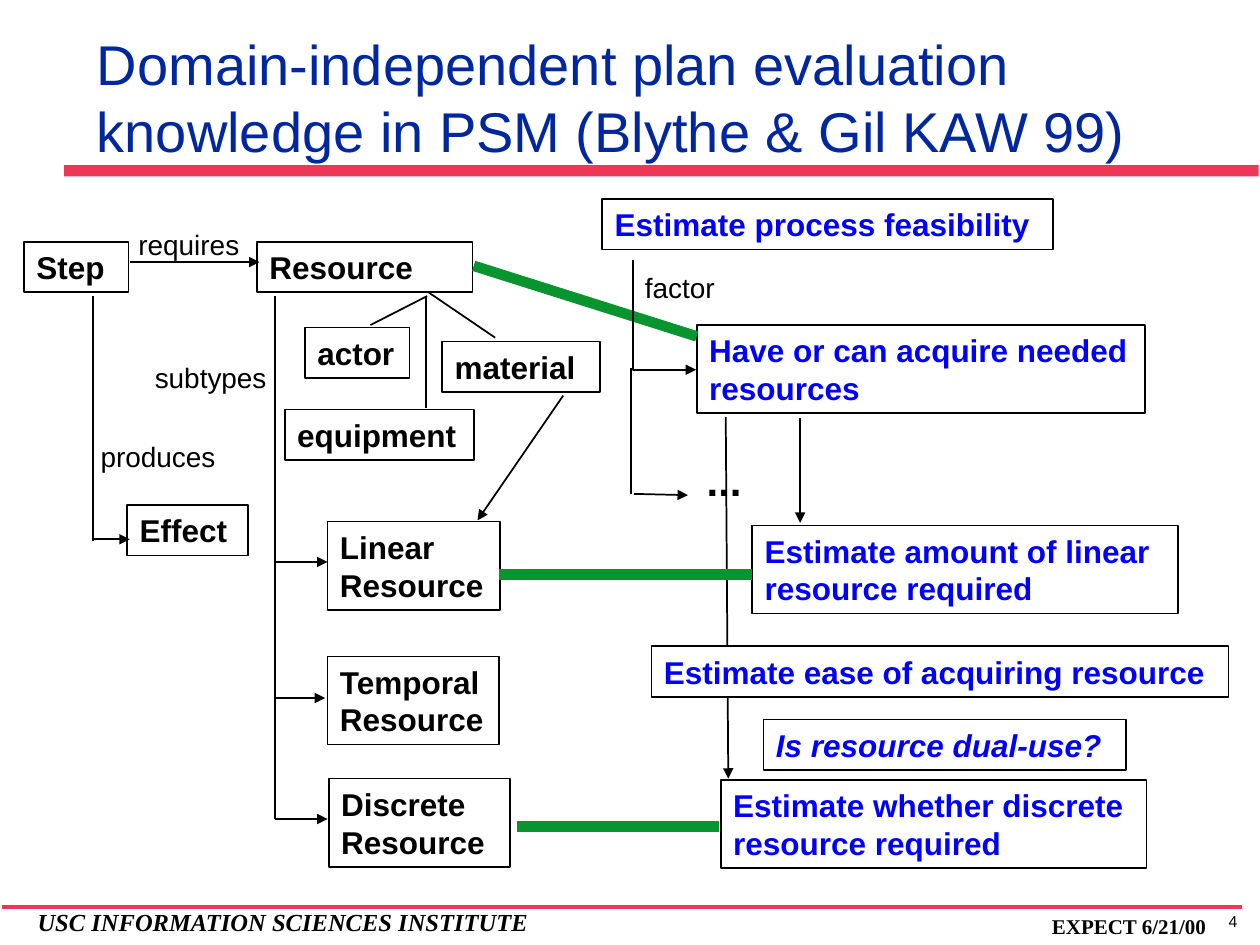
"""Build the slide on domain-independent plan evaluation knowledge."""
from dataclasses import dataclass

from lxml.etree import SubElement
from pptx import Presentation
from pptx.dml.color import RGBColor as RGB
from pptx.enum.shapes import MSO_CONNECTOR as LINK, MSO_SHAPE as SHAPE
from pptx.enum.text import MSO_ANCHOR as ANCHOR, PP_ALIGN as ALIGN
from pptx.oxml.ns import qn
from pptx.util import Pt

PX = 9144


@dataclass(frozen=True)
class Theme:
    black: RGB = RGB(0x00, 0x00, 0x00)
    white: RGB = RGB(0xFF, 0xFF, 0xFF)
    red: RGB = RGB(0xEE, 0x37, 0x57)
    green: RGB = RGB(0x08, 0x94, 0x2F)
    navy: RGB = RGB(0x00, 0x27, 0x9F)
    blue: RGB = RGB(0x00, 0x00, 0xFF)
    sans: str = "Arial"
    serif: str = "Times New Roman"
    title: int = 32
    dots: int = 24
    node: int = 18
    label: int = 16
    institute: int = 14
    date: int = 12
    number: int = 9


theme = Theme()
deck = Presentation()
deck.slide_width, deck.slide_height = 1000 * PX, 750 * PX
slide = deck.slides.add_slide(deck.slide_layouts[6])
shapes = slide.shapes


def write(holder, text, size, color=theme.black, wrap=True, anchor=ANCHOR.TOP,
          align=ALIGN.LEFT, name=theme.sans, bold=False, italic=False):
    frame = holder.text_frame
    frame_format = {
        "word_wrap": wrap, "vertical_anchor": anchor,
        "margin_left": 10 * PX, "margin_right": 10 * PX,
        "margin_top": 5 * PX, "margin_bottom": 5 * PX,
    }
    for key, value in frame_format.items():
        setattr(frame, key, value)
    paragraph = frame.paragraphs[0]
    paragraph.alignment = align
    run = paragraph.add_run()
    run.text = text
    font_format = {"name": name, "size": Pt(size), "bold": bold, "italic": italic}
    for key, value in font_format.items():
        setattr(run.font, key, value)
    run.font.color.rgb = color


def connect(x1, y1, x2, y2, arrow=False, color=theme.black, width=1, kind=LINK.STRAIGHT):
    link = shapes.add_connector(kind, x1 * PX, y1 * PX, x2 * PX, y2 * PX)
    link.line.color.rgb = color
    link.line.width = Pt(width)
    if arrow:
        SubElement(link.line._get_or_add_ln(), qn("a:tailEnd"), type="triangle")
    SubElement(link._element.spPr, qn("a:effectLst"))
    return link


title_rule = shapes.add_shape(SHAPE.RECTANGLE, 51 * PX, 131 * PX, 948 * PX, 9 * PX)
title_rule.shadow.inherit = False
title_rule.fill.solid()
title_rule.fill.fore_color.rgb = theme.red
title_rule.line.fill.background()
connect(986, 720, 2, 720, color=theme.red, width=2)

ease_trunk = (576, 331, 578, 618)
connect(*ease_trunk, arrow=True)

ONE_LINE, TWO_LINES = 40, 70
concepts = [
    ("Step", 19, 192, 83, ONE_LINE),
    ("Resource", 204, 192, 171, ONE_LINE),
    ("equipment", 226, 325, 150, ONE_LINE),
    ("material", 351, 271, 125, ONE_LINE),
    ("actor", 242, 260, 83, ONE_LINE),
    ("Effect", 101, 401, 96, ONE_LINE),
    ("Linear Resource", 260, 414, 137, TWO_LINES),
    ("Temporal Resource", 260, 521, 136, TWO_LINES),
    ("Discrete Resource", 261, 618, 144, TWO_LINES),
]
goals = [
    ("Estimate process feasibility", 478, 158, 358, ONE_LINE),
    ("Have or can acquire needed resources", 553, 258, 356, TWO_LINES),
    ("Estimate amount of linear resource required", 597, 417, 338, TWO_LINES),
    ("Estimate whether discrete resource required", 572, 619, 338, TWO_LINES),
    ("Estimate ease of acquiring resource", 517, 513, 458, ONE_LINE),
    ("Is resource dual-use?", 606, 571, 288, ONE_LINE),
]
for color, nodes in ((theme.black, concepts), (theme.blue, goals)):
    for text, left, top, width, height in nodes:
        node = shapes.add_shape(SHAPE.RECTANGLE, left * PX, top * PX, width * PX, height * PX)
        node.shadow.inherit = False
        if "ease" in text:
            node.fill.solid()
            node.fill.fore_color.rgb = theme.white
        else:
            node.fill.background()
        node.line.color.rgb = theme.black
        node.line.width = Pt(1)
        write(node, text, theme.node, color, bold=True, italic="dual-use" in text)

for match in [(553, 267, 376, 211), (597, 456, 396, 456), (571, 656, 410, 656)]:
    connect(*match, color=theme.green, width=6)

for branch in [
    (339, 235, 294, 258), (338, 235, 338, 324), (340, 232, 393, 268),
    (501, 292, 501, 392), (74, 235, 74, 429), (218, 235, 218, 650),
]:
    connect(*branch)

for relation in [
    (103, 208, 206, 208), (503, 392, 546, 393), (635, 332, 635, 415),
    (74, 428, 103, 428), (218, 446, 260, 446), (218, 554, 258, 554),
    (218, 650, 260, 650), (447, 314, 379, 413),
]:
    connect(*relation, arrow=True)

factor_link = connect(571, 225, 484, 275, arrow=True, kind=LINK.ELBOW)
factor_geometry = factor_link._element.spPr
factor_geometry.find(qn("a:xfrm")).set("rot", str(270 * 60000))
factor_geometry.find(qn("a:prstGeom")).set("prst", "bentConnector2")

label = {"size": theme.label, "wrap": False}
footer = {"name": theme.serif, "bold": True}
captions = [
    ("Domain-independent plan evaluation knowledge in PSM (Blythe & Gil KAW 99)",
     67, 9, 848, 126, {"size": theme.title, "color": theme.navy, "anchor": ANCHOR.BOTTOM}),
    ("requires", 100, 176, 105, 37, label),
    ("factor", 502, 210, 82, 37, label),
    ("subtypes", 113, 281, 115, 37, label),
    ("produces", 70, 344, 117, 37, label),
    ("...", 551, 356, 52, 50, {"size": theme.dots, "wrap": False, "bold": True}),
    ("USC INFORMATION SCIENCES INSTITUTE", 20, 715, 436, 33,
     {"size": theme.institute, "italic": True, **footer}),
    ("EXPECT 6/21/00", 825, 720, 158, 30, {"size": theme.date, **footer}),
    ("4", 940, 719, 77, 25, {"size": theme.number, "wrap": False, "align": ALIGN.CENTER}),
]
for text, left, top, width, height, style in captions:
    caption = shapes.add_textbox(left * PX, top * PX, width * PX, height * PX)
    write(caption, text, **style)

deck.save("out.pptx")
